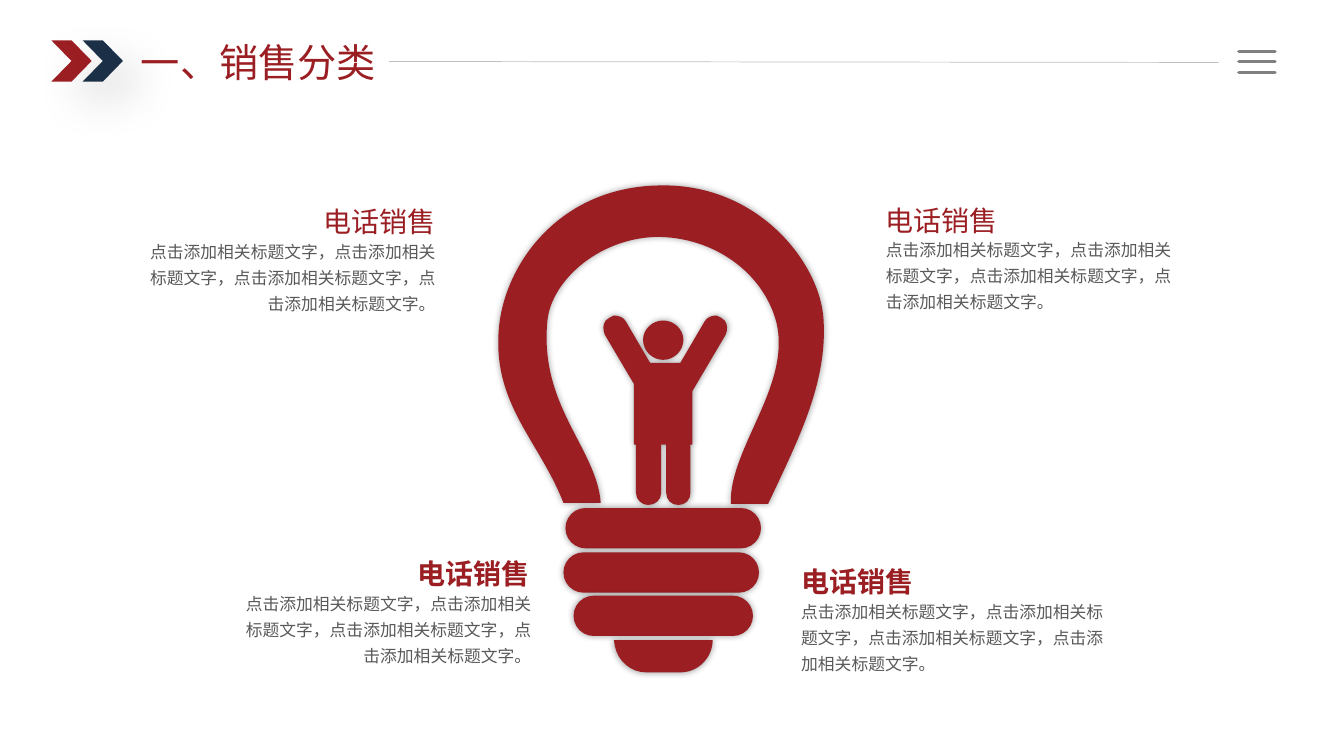
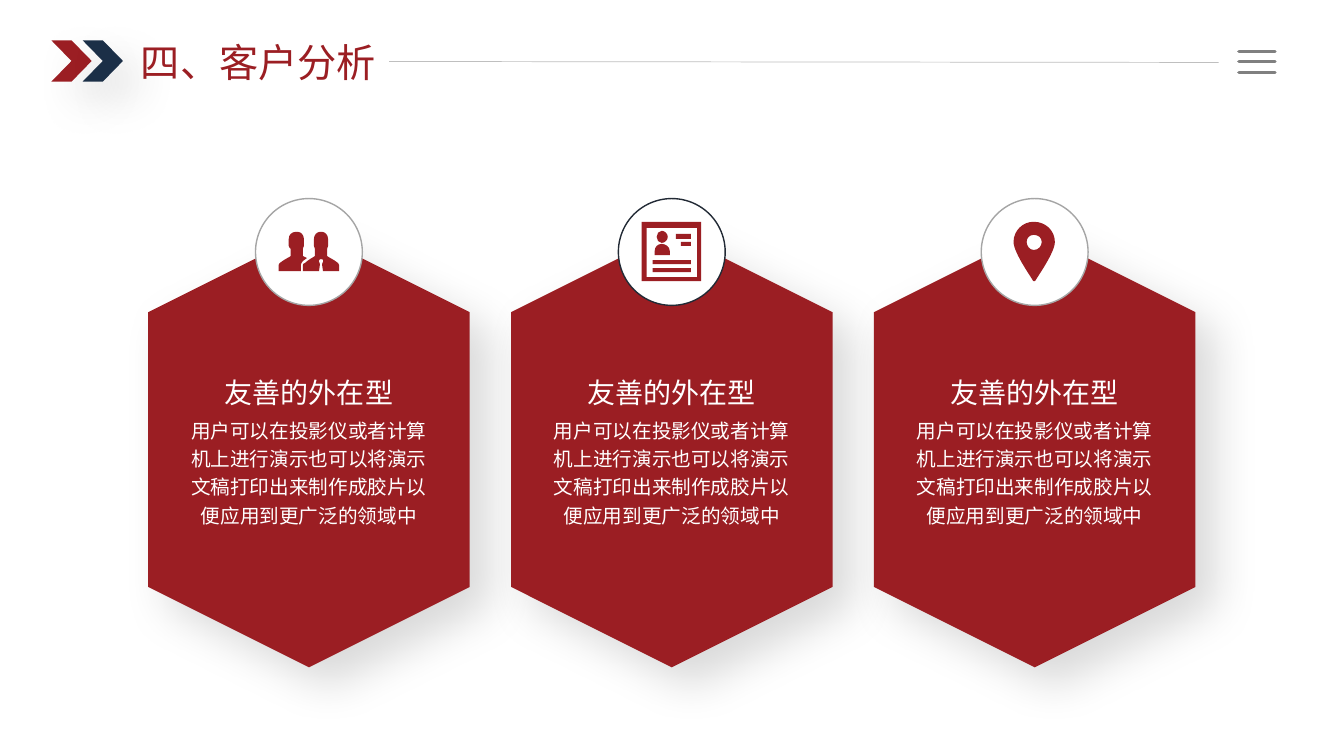
from lxml import etree
from pptx import Presentation
from pptx.dml.color import RGBColor
from pptx.enum.shapes import MSO_CONNECTOR as Connector, MSO_SHAPE as Preset
from pptx.enum.text import MSO_AUTO_SIZE as AutoSize, PP_ALIGN as Align
from pptx.oxml.ns import qn
from pptx.util import Pt

EMU_PER_PX = 9144  # 100 px to the inch

RED = RGBColor(0x9B, 0x1E, 0x23)
NAVY = RGBColor(0x1B, 0x2F, 0x47)
WHITE = RGBColor(0xFF, 0xFF, 0xFF)
BODY_GRAY = RGBColor(0x59, 0x59, 0x59)
RULE_GRAY = RGBColor(0xBF, 0xBF, 0xBF)
MENU_GRAY = RGBColor(0x80, 0x80, 0x80)
RING_GRAY = RGBColor(0xA5, 0xA5, 0xA5)
RING_DARK = RGBColor(0x22, 0x2A, 0x35)

HEADING_FONT = "Noto Sans CJK JP"
EAST_ASIAN_FONT = "Calibri"

# Shadows: opacity %, blur pt, distance pt, angle in degrees
SOFT_SHADOW = (14, 32, 19, 45)
GLOW_SHADOW = (40, 5, 0, 0)

TITLE = {"size": Pt(28), "name": HEADING_FONT}
HEADING = {"size": Pt(20), "name": HEADING_FONT}
FEATURE_BODY = {"size": Pt(12), "name": "Arial"}
CARD_BODY = {"size": Pt(14), "name": "Calibri"}

FEATURE_HEADING = "电话销售"
FEATURE_TEXT = "，".join(["点击添加相关标题文字"] * 4) + "。"
CARD_HEADING = "友善的外在型"
CARD_TEXT = "用户可以在投影仪或者计算机上进行演示也可以将演示文稿打印出来制作成胶片以便应用到更广泛的领域中"

# Outlines: M move, L line, C cubic curve, Z close; px from the box corner
BULB_GLASS = """M 106 319 L 69 319 C 45 257 -2 221 5 145 C 11 81 66 5 165 4
    C 263 2 324 82 327 137 C 331 200 302 256 272 320 L 235 320
    C 233 265 296 202 280 139 C 267 91 219 55 161 55 C 101 57 56 101 53 139
    C 45 223 102 265 106 319 Z"""
BULB_BASE = """M 119 455 L 217 455 C 217 472 203 487 185 487 L 151 487
    C 136 487 123 476 120 461 Z"""
CHEERING_FIGURE = """M 168 138 C 179 138 188 147 188 157 C 188 168 179 177 168 177
    C 157 177 148 168 148 157 C 148 147 157 138 168 138 Z
    M 221 133 L 225 135 L 229 138 C 232 142 232 147 230 152 L 197 208 L 197 261
    L 195 261 L 195 309 C 195 316 190 321 183 321 C 176 321 171 316 171 309
    L 171 261 L 166 261 L 166 309 C 166 316 160 321 153 321
    C 147 321 141 316 141 309 L 141 261 L 139 261 L 139 201 L 110 152
    C 108 147 108 142 111 138 L 115 135 L 119 133 C 124 133 129 135 131 139
    L 155 180 L 185 180 L 209 139 C 211 135 216 133 221 133 Z"""
PEOPLE_ICON = """M 64 33 L 66 33 C 69 33 72 36 72 40 L 72 47 C 72 48 72 49 71 50
    L 71 57 C 72 58 77 60 82 64 C 82 65 83 65 83 66 L 83 72 L 67 72 L 66 65
    C 69 60 66 60 65 60 C 65 60 61 60 64 65 L 63 72 L 47 72 L 47 66
    C 47 65 48 64 49 64 C 53 60 58 58 59 57 L 59 50 C 58 49 58 48 58 47
    L 58 40 C 58 36 61 33 64 33 Z
    M 40 33 L 42 33 C 45 33 48 36 48 40 L 48 47 C 48 48 47 49 47 50 L 47 57
    C 47 57 49 58 51 59 C 50 60 48 61 47 62 C 46 63 45 65 45 66 L 45 72
    L 23 72 L 23 66 C 23 65 24 64 24 64 C 29 60 34 58 35 57 L 35 50
    C 34 49 33 48 33 47 L 33 40 C 33 36 36 33 40 33 Z"""
PROFILE_ICON = """M 34 69 L 72 69 L 72 73 L 34 73 Z M 34 61 L 72 61 L 72 65 L 34 65 Z
    M 43 45 C 47 45 51 48 51 52 L 51 56 L 36 56 L 36 52 C 36 48 39 45 43 45 Z
    M 62 43 L 72 43 L 72 47 L 62 47 Z M 57 35 L 72 35 L 72 40 L 57 40 Z
    M 43 32 C 46 32 49 35 49 38 C 49 41 46 44 43 44 C 40 44 38 41 38 38
    C 38 35 40 32 43 32 Z
    M 28 29 L 28 78 L 78 78 L 78 29 Z M 23 23 L 82 23 L 82 82 L 23 82 Z"""
PIN_ICON = """M 52 36 C 48 36 45 39 45 43 C 45 47 48 51 52 51 C 57 51 60 47 60 43
    C 60 39 57 36 52 36 Z
    M 52 23 C 64 23 73 32 73 43 C 73 54 54 80 54 81 L 53 82 L 52 82 L 51 81
    C 51 80 32 54 32 43 C 32 32 41 23 52 23 Z"""


def px(*lengths):
    return [round(length * EMU_PER_PX) for length in lengths]


# Shared drawing helpers
def add_shadow(shape, shadow):
    opacity, blur, distance, angle = shadow
    effects = shape._element.spPr.find(qn("a:effectLst"))
    outer = etree.SubElement(effects, qn("a:outerShdw"), {
        "blurRad": str(Pt(blur)), "dist": str(Pt(distance)),
        "dir": str(angle * 60000), "algn": "ctr", "rotWithShape": "0"})
    color = etree.SubElement(outer, qn("a:srgbClr"), val="000000")
    etree.SubElement(color, qn("a:alpha"), val=str(opacity * 1000))


def paint(shape, fill, line=None, shadow=None):
    shape.fill.solid()
    shape.fill.fore_color.rgb = fill
    if line is None:
        shape.line.fill.background()
    else:
        shape.line.color.rgb = line
        shape.line.width = Pt(1)
    shape.shadow.inherit = False
    if shadow:
        add_shadow(shape, shadow)


def add_preset(slide, preset, box, fill, line=None, shadow=None):
    shape = slide.shapes.add_shape(preset, *px(*box))
    paint(shape, fill, line, shadow)
    return shape


def add_line(slide, start, end, color, width, cap="flat"):
    connector = slide.shapes.add_connector(Connector.STRAIGHT, *px(*start, *end))
    connector.line.color.rgb = color
    connector.line.width = Pt(width)
    properties = connector._element.spPr
    properties.find(qn("a:ln")).set("cap", cap)
    etree.SubElement(properties, qn("a:effectLst"))


def read_outline(outline):
    """Return contours, each a list of segments; a segment ends at its last point."""
    contours = []
    for contour in outline.split("Z")[:-1]:
        words = iter(contour.split())
        contours.append([
            [px(int(next(words)), int(next(words)))
             for _ in range(3 if command == "C" else 1)]
            for command in words])
    return contours


def bend_segments(shape, contours):
    """Turn the straight segments that have control points into cubic curves."""
    segments = [segment for contour in contours for segment in contour]
    left, top = (min(segment[-1][axis] for segment in segments) for axis in (0, 1))
    outline = shape._element.spPr.find(".//" + qn("a:path"))
    steps = [step for step in outline if step.tag != qn("a:close")]
    for step, segment in zip(steps, segments):
        if len(segment) == 3:
            curve = etree.Element(qn("a:cubicBezTo"))
            for x, y in segment:
                etree.SubElement(curve, qn("a:pt"), x=str(x - left), y=str(y - top))
            outline.replace(step, curve)


def add_outline(slide, corner, outline, shadow=None):
    contours = read_outline(outline)
    first, *others = [[segment[-1] for segment in contour] for contour in contours]
    builder = slide.shapes.build_freeform(*first[0])
    builder.add_line_segments(first[1:], close=False)
    # Close by hand below, so that each step stands for one segment
    for anchors in others:
        builder.move_to(*anchors[0])
        builder.add_line_segments(anchors[1:], close=False)
    shape = builder.convert_to_shape(*px(*corner))
    bend_segments(shape, contours)
    steps = shape._element.spPr.find(".//" + qn("a:path"))
    for start in steps.findall(qn("a:moveTo"))[1:]:
        start.addprevious(etree.Element(qn("a:close")))
    etree.SubElement(steps, qn("a:close"))
    paint(shape, RED, shadow=shadow)


def add_text(slide, box, text, style, color, align=Align.LEFT, spacing=1.0,
             wrap=True, bold=False):
    frame = slide.shapes.add_textbox(*px(*box)).text_frame
    frame.word_wrap = wrap
    frame.auto_size = AutoSize.SHAPE_TO_FIT_TEXT
    paragraph = frame.paragraphs[0]
    paragraph.alignment = align
    paragraph.line_spacing = spacing
    run = paragraph.add_run()
    run.text = text
    for name, value in {**style, "bold": bold}.items():
        setattr(run.font, name, value)
    run.font.color.rgb = color
    etree.SubElement(run._r.get_or_add_rPr(), qn("a:ea"), typeface=EAST_ASIAN_FONT)


# Title band: chevrons, title, rule and menu mark
def add_header(slide, box, title):
    left, top, width, height = box
    for offset, color in ((0, RED), (31, NAVY)):
        add_preset(slide, Preset.CHEVRON, (left + offset, top, 40, height), color,
                   shadow=SOFT_SHADOW)
    right, middle = left + width, top + 21
    add_line(slide, (left + 335, middle), (right - 56, middle + 1), RULE_GRAY, 0.5)
    for offset in (-10, 0, 11):
        add_line(slide, (right - 36, middle + offset), (right, middle + offset),
                 MENU_GRAY, 2.25, "rnd")
    add_text(slide, (left + 79, top - 7, 256, 57), title, TITLE, RED, wrap=False)


# Light bulb with a cheering figure inside
def add_bulb(slide, corner):
    left, top = corner
    add_outline(slide, corner, BULB_GLASS, GLOW_SHADOW)
    for x, y, width in ((71, 324, 194), (69, 368, 194), (79, 411, 178)):
        thread = add_preset(slide, Preset.ROUNDED_RECTANGLE,
                            (left + x, top + y, width, 40), RED, shadow=GLOW_SHADOW)
        thread.adjustments[0] = 0.5
    for outline in (BULB_BASE, CHEERING_FIGURE):
        add_outline(slide, corner, outline, GLOW_SHADOW)


# Heading with a paragraph below, aligned to one side of the box
def add_feature(slide, box, align, bold, drop, inset):
    left, top, width, height = box
    heading_width = 132
    heading_left = left
    if align == Align.RIGHT:
        heading_left += width - heading_width - inset
    add_text(slide, (heading_left, top, heading_width, 50), FEATURE_HEADING, HEADING,
             RED, align, 1.3, wrap=False, bold=bold)
    add_text(slide, (left, top + drop, width, height - drop), FEATURE_TEXT,
             FEATURE_BODY, BODY_GRAY, align, 1.3)


# Upright hexagon card with a round icon on its top corner
def add_card(slide, box, icon, ring):
    left, top, width, height = box
    hexagon_top = top + 33
    length = height - 33
    shift = (length - width) / 2
    hexagon = add_preset(slide, Preset.HEXAGON,
                         (left - shift, hexagon_top + shift, length, width), RED,
                         shadow=SOFT_SHADOW)
    hexagon.rotation = 90
    center, diameter = left + width / 2, 106
    circle_left = center - diameter / 2
    add_preset(slide, Preset.OVAL, (circle_left, top, diameter, diameter), WHITE, ring)
    add_outline(slide, (circle_left, top), icon)
    for y, text_width, text_height, text, style in (
            (209, 256, 123, CARD_TEXT, CARD_BODY), (164, 222, 47, CARD_HEADING, HEADING)):
        add_text(slide, (center - text_width / 2, top + y, text_width, text_height),
                 text, style, WHITE, Align.CENTER, 1.2)


def add_slide(presentation, title):
    slide = presentation.slides.add_slide(presentation.slide_layouts[6])
    add_header(slide, (51, 40, 1214, 41), title)
    return slide


def build_sales_slide(presentation):
    slide = add_slide(presentation, "一、销售分类")
    add_bulb(slide, (490, 180))
    for box, *layout in (
            ((869, 187, 308, 129), Align.LEFT, False, 40, 0),
            ((124, 188, 318, 127), Align.RIGHT, False, 41, 0),
            ((224, 537, 313, 130), Align.RIGHT, True, 41, 2),
            ((785, 545, 328, 130), Align.LEFT, True, 41, 0)):
        add_feature(slide, box, *layout)


def build_customer_slide(presentation):
    slide = add_slide(presentation, "四、客户分析")
    cards = ((PEOPLE_ICON, RING_GRAY), (PROFILE_ICON, RING_DARK), (PIN_ICON, RING_GRAY))
    for index, (icon, ring) in enumerate(cards):
        add_card(slide, (147 + 360 * index, 197, 319, 465), icon, ring)


def main():
    presentation = Presentation()
    presentation.slide_width, presentation.slide_height = px(4000 / 3, 750)
    build_sales_slide(presentation)
    build_customer_slide(presentation)
    presentation.save("out.pptx")


if __name__ == "__main__":
    main()
